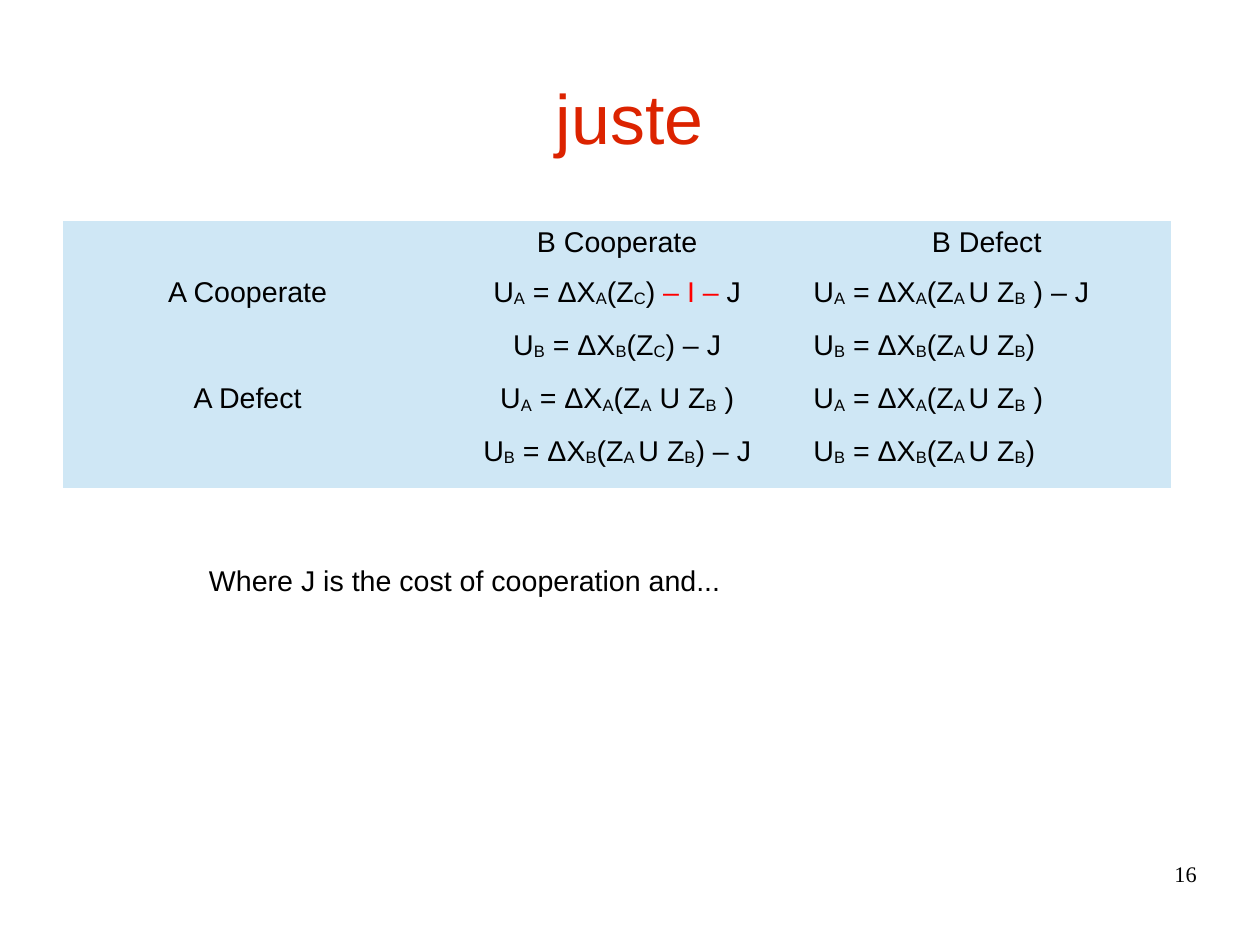
"""Build the slide with the payoff table for cooperation and defection."""
from pptx import Presentation
from pptx.dml.color import RGBColor
from pptx.enum import text
from pptx.oxml.ns import qn
from pptx.util import Inches, Pt

BLACK = RGBColor(0x00, 0x00, 0x00)
RED = RGBColor(0xFF, 0x00, 0x00)
TITLE_RED = RGBColor(0xDC, 0x23, 0x00)
PALE_BLUE = RGBColor(0xCF, 0xE7, 0xF5)
NO_STYLE = "{2D5ABB26-0587-4C30-8999-92F81FD0307C}"
CM_PER_INCH = 2.54
LEFT, CENTER, RIGHT = text.PP_ALIGN.LEFT, text.PP_ALIGN.CENTER, text.PP_ALIGN.RIGHT


def add_run(paragraph, words, size=18, font="Arial", color=BLACK):
    run = paragraph.add_run()
    run.text = words
    for name, value in {"size": Pt(size), "name": font}.items():
        setattr(run.font, name, value)
    run.font.color.rgb = color
    return run


presentation = Presentation()
presentation.slide_width = Inches(28 / CM_PER_INCH)
presentation.slide_height = Inches(21 / CM_PER_INCH)
slide = presentation.slides.add_slide(presentation.slide_layouts[6])

text_boxes = [
    ("juste", (0.55, 0.33, 9.92, 1.38), CENTER, (44, "Arial", TITLE_RED),
     {"vertical_anchor": text.MSO_ANCHOR.MIDDLE, "word_wrap": True}, (0, 0)),
    ("Where J is the cost of cooperation and...", (1.73, 4.88, 4.89, 0.44), LEFT,
     (18, "Arial", BLACK), {"word_wrap": False}, (0.1, 0.05)),
    ("16", (7.9, 7.53, 2.57, 0.57), RIGHT, (14, "Times New Roman", BLACK),
     {"word_wrap": True}, (0, 0)),
]
for words, place, alignment, style, frame_format, (side, end) in text_boxes:
    frame = slide.shapes.add_textbox(*map(Inches, place)).text_frame
    margins = {"margin_left": Inches(side), "margin_right": Inches(side),
               "margin_top": Inches(end), "margin_bottom": Inches(end)}
    for name, value in {**frame_format, **margins}.items():
        setattr(frame, name, value)
    frame.paragraphs[0].alignment = alignment
    add_run(frame.paragraphs[0], words, *style)

payoffs = [
    ["", "B Cooperate", "B Defect"],
    ["A Cooperate", "U|_A| = ΔX|_A|(Z|_C|) |^– I – |J", "U|_A| = ΔX|_A|(Z|_A |U Z|_B| ) – J"],
    ["", "U|_B| = ΔX|_B|(Z|_C|) – J", "U|_B| = ΔX|_B|(Z|_A |U Z|_B|)"],
    ["A Defect", "U|_A| = ΔX|_A|(Z|_A| U Z|_B| )", "U|_A| = ΔX|_A|(Z|_A |U Z|_B| )"],
    ["", "U|_B| = ΔX|_B|(Z|_A |U Z|_B|) – J", "U|_B| = ΔX|_B|(Z|_A |U Z|_B|)"],
]
row_heights = [0.44, 0.46, 0.47, 0.46, 0.51]
table = slide.shapes.add_table(len(payoffs), 3, Inches(0.55), Inches(1.93),
                               Inches(9.7), Inches(sum(row_heights))).table
table.first_row = table.horz_banding = False
table._tbl.tblPr.find(qn("a:tableStyleId")).text = NO_STYLE
for row, height in zip(table.rows, row_heights):
    row.height = Inches(height)

for row_index, row_payoffs in enumerate(payoffs):
    for column_index, payoff in enumerate(row_payoffs):
        cell = table.cell(row_index, column_index)
        cell.fill.solid()
        cell.fill.fore_color.rgb = PALE_BLUE
        paragraph = cell.text_frame.paragraphs[0]
        paragraph.alignment = LEFT if row_index and column_index == 2 else CENTER
        for piece in filter(None, payoff.split("|")):
            run = add_run(paragraph, piece.lstrip("_^"), color=RED if piece[0] == "^" else BLACK)
            if piece[0] == "_":
                run._r.get_or_add_rPr().set("baseline", "-8000")

presentation.save("out.pptx")
